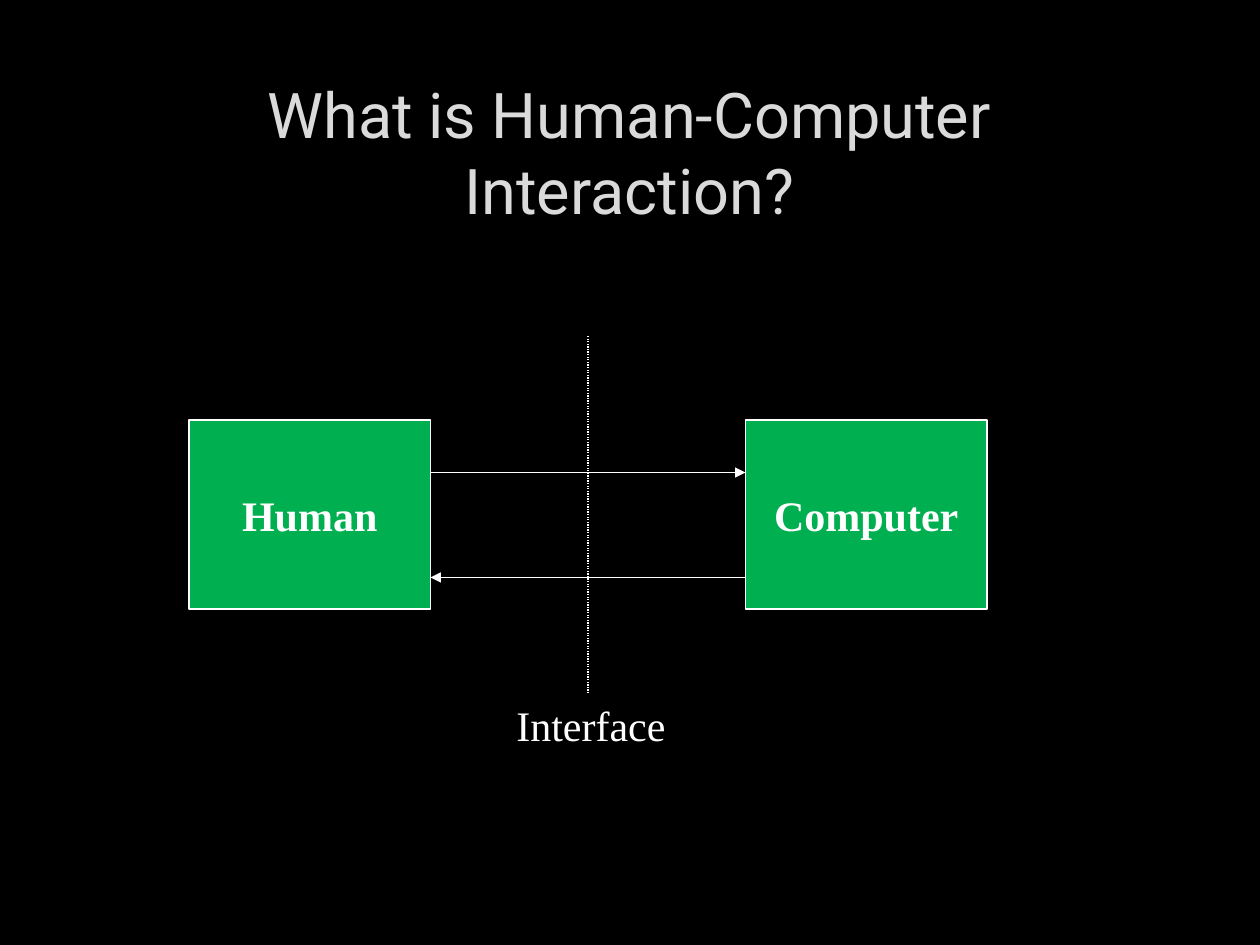
from dataclasses import dataclass

from lxml.etree import SubElement
from pptx import Presentation
from pptx.dml.color import RGBColor
from pptx.enum.dml import MSO_LINE_DASH_STYLE as Dash
from pptx.enum.shapes import MSO_CONNECTOR as Link, MSO_SHAPE as Form
from pptx.enum.text import MSO_ANCHOR as Anchor, MSO_AUTO_SIZE as Fit, PP_ALIGN as Align
from pptx.oxml.ns import qn
from pptx.slide import Slide
from pptx.text.text import TextFrame
from pptx.util import Inches, Length, Pt

BLACK = RGBColor(0x00, 0x00, 0x00)
WHITE = RGBColor(0xFF, 0xFF, 0xFF)
GREEN = RGBColor(0x00, 0xB0, 0x50)
GREY = RGBColor(0xDA, 0xDA, 0xDA)
SERIF = "Times New Roman"
THIN = Pt(0.75)

CELLS = 12
BOX_TOP, BOX_WIDE, BOX_HIGH = 40, 23, 18
LEFT, RIGHT = 18, 71
EDGE = LEFT + BOX_WIDE
MID = (EDGE + RIGHT) / 2


@dataclass
class Box:
    text: str
    left: float


@dataclass
class Line:
    x1: float
    y1: float
    x2: float
    y2: float
    arrow: bool = True


BOXES = [Box("Human", LEFT), Box("Computer", RIGHT)]
LINES = [
    Line(MID, 32, MID, 66, arrow=False),
    Line(EDGE, 45, RIGHT, 45),
    Line(RIGHT, 55, EDGE, 55),
]


def grid(count: float) -> Length:
    return Inches(count / CELLS)


def write(frame: TextFrame, text: str, align: Align, size: float = 24,
          name: str = SERIF, color: RGBColor = WHITE, bold: bool = False) -> None:
    frame.text = text
    para = frame.paragraphs[0]
    para.alignment = align
    font = para.runs[0].font
    font.size = Pt(size)
    font.name = name
    font.bold = bold
    font.color.rgb = color


def draw_title(slide: Slide) -> None:
    title = slide.shapes.add_textbox(Inches(0.75), Inches(0.67), Inches(8.49), Inches(1.06))
    frame = title.text_frame
    frame.word_wrap = True
    frame.vertical_anchor = Anchor.MIDDLE
    write(frame, "What is Human-Computer Interaction?", Align.CENTER, 36, "Roboto", GREY)


def draw_box(slide: Slide, box: Box) -> None:
    shape = slide.shapes.add_shape(Form.RECTANGLE, grid(box.left), grid(BOX_TOP),
                                   grid(BOX_WIDE), grid(BOX_HIGH))
    shape.shadow.inherit = False
    shape.fill.solid()
    shape.fill.fore_color.rgb = GREEN
    shape.line.color.rgb = WHITE
    shape.line.width = THIN
    frame = shape.text_frame
    frame.word_wrap = False
    frame.vertical_anchor = Anchor.MIDDLE
    write(frame, box.text, Align.CENTER, bold=True)


def draw_line(slide: Slide, line: Line) -> None:
    link = slide.shapes.add_connector(Link.STRAIGHT, grid(line.x1), grid(line.y1),
                                      grid(line.x2), grid(line.y2))
    link.line.color.rgb = WHITE
    link.line.width = THIN
    if line.arrow:
        SubElement(link.line._get_or_add_ln(), qn("a:tailEnd"), type="triangle")
    else:
        link.line.dash_style = Dash.ROUND_DOT
    SubElement(link._element.spPr, qn("a:effectLst"))


def draw_label(slide: Slide) -> None:
    label = slide.shapes.add_textbox(Inches(4), Inches(5.5), Inches(1.4), Inches(0.5))
    frame = label.text_frame
    frame.word_wrap = False
    frame.auto_size = Fit.SHAPE_TO_FIT_TEXT
    write(frame, "Interface", Align.LEFT)


def main() -> None:
    deck = Presentation()
    deck.slide_width, deck.slide_height = Inches(10), Inches(7.5)
    slide = deck.slides.add_slide(deck.slide_layouts[6])
    slide.background.fill.solid()
    slide.background.fill.fore_color.rgb = BLACK
    draw_title(slide)
    for box in BOXES:
        draw_box(slide, box)
    for line in LINES:
        draw_line(slide, line)
    draw_label(slide)
    deck.save("out.pptx")


if __name__ == "__main__":
    main()
